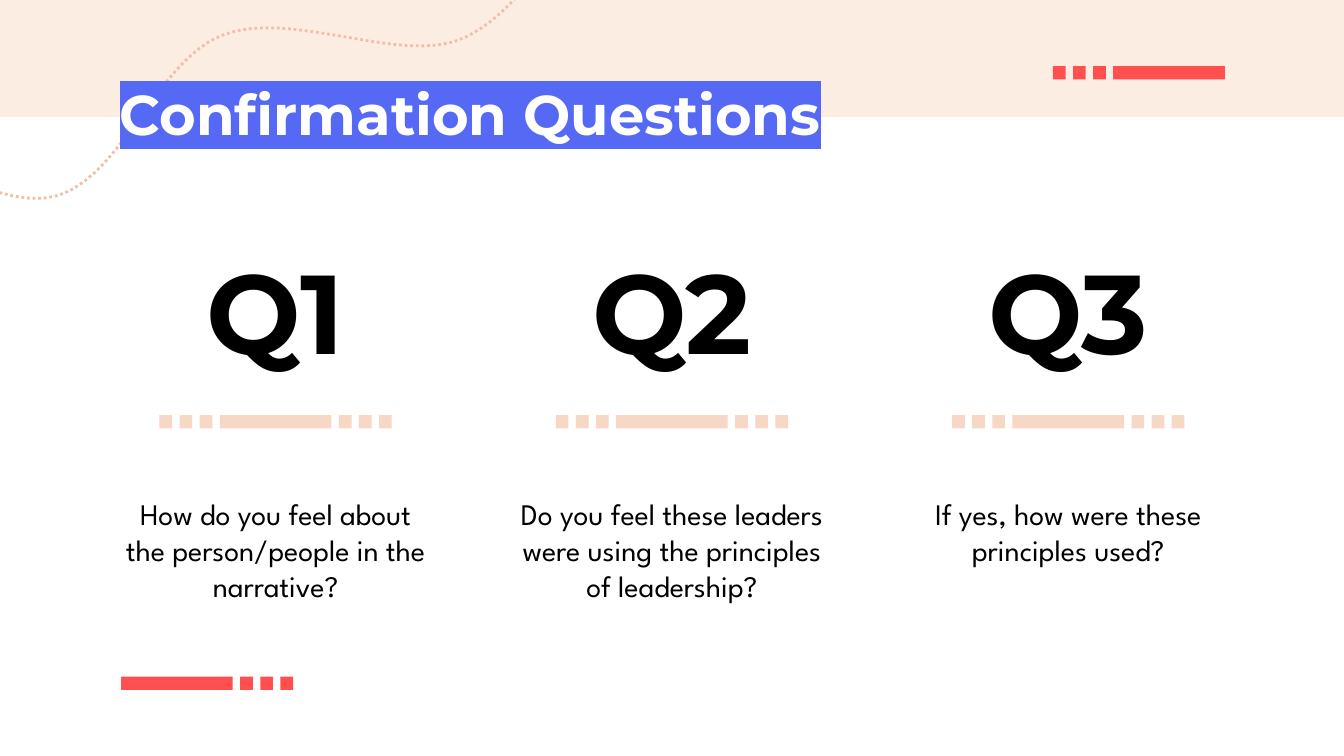
from pptx import Presentation
from pptx.dml.color import RGBColor as RGB
from pptx.enum.dml import MSO_LINE_DASH_STYLE as Dash
from pptx.enum.shapes import MSO_SHAPE as Shape
from pptx.enum.text import MSO_ANCHOR as Anchor, MSO_AUTO_SIZE as AutoSize, PP_ALIGN as Align
from pptx.oxml.ns import qn
from pptx.util import Cm, Pt
from lxml.etree import SubElement

# Content
TITLE = "Confirmation Questions"
QUESTIONS = [
    ("Q1", "How do you feel about the person/people in the narrative?", 2.95),
    ("Q2", "Do you feel these leaders were using the principles of leadership?", 3.43),
    ("Q3", "If yes, how were these principles used?", 1.68),
]  # label, question, height of the question box in cm

THEME = {
    "head_font": "Montserrat", "body_font": "League Spartan",
    "title_size": 30, "label_size": 60, "body_size": 16,
    "band": "FCEDE3", "curve": "EFBFAB", "accent": "FF4F4E", "soft": "F7D7C6",
    "ink": "000000", "title": "FFFFFF", "highlight": "5669F4",
}

# Layout in cm
SLIDE_W, SLIDE_H = 25.4, 14.29
LEFT, COL_W, COL_STEP = 2.01, 6.4, 7.49
LABEL_Y, STRIP_Y, QUESTION_Y = 4.42, 7.85, 9.12
SQUARE, BAR, GAP, STRIP_H = 0.24, 2.11, 0.14, 0.25
INSET = 0.25
CURVE_START = (-7.49, 5.61)
CURVE = [  # two control points and an end point for each Bezier segment
    ((-6.83, 5.11), (-4.9, 2.97), (-3.48, 2.64)),
    ((-2.06, 2.34), (-0.25, 4.04), (1.04, 3.71)),
    ((2.31, 3.38), (2.95, 1.14), (4.22, 0.66)),
    ((5.49, 0.18), (7.49, 1.19), (8.66, 0.76)),
    ((9.83, 0.33), (10.77, -1.5), (11.2, -1.93)),
]
CURVE_STEPS = 24


def bezier(p0, p1, p2, p3, t):
    u = 1 - t
    return tuple(u**3 * a + 3 * u * u * t * b + 3 * u * t * t * c + t**3 * d
                 for a, b, c, d in zip(p0, p1, p2, p3))


def add_rect(shapes, x, y, w, h, color):
    sp = shapes.add_shape(Shape.RECTANGLE, Cm(x), Cm(y), Cm(w), Cm(h))
    sp.shadow.inherit = False
    sp.fill.solid()
    sp.fill.fore_color.rgb = RGB.from_string(THEME[color])
    sp.line.fill.background()


def add_strip(shapes, x, y, pattern, color):
    """Draw a row of squares (s) and bars (b) with equal gaps."""
    group = shapes.add_group_shape()
    for part in pattern:
        w = BAR if part == "b" else SQUARE
        add_rect(group.shapes, x, y, w, STRIP_H, color)
        x += w + GAP


def add_curve(shapes):
    points, start = [], CURVE_START
    for c1, c2, end in CURVE:
        points += [bezier(start, c1, c2, end, i / CURVE_STEPS)
                   for i in range(1, CURVE_STEPS + 1)]
        start = end
    builder = shapes.build_freeform(Cm(CURVE_START[0]), Cm(CURVE_START[1]))
    builder.add_line_segments([(Cm(x), Cm(y)) for x, y in points], close=False)
    sp = builder.convert_to_shape()
    sp.shadow.inherit = False
    sp.fill.background()
    sp.line.color.rgb = RGB.from_string(THEME["curve"])
    sp.line.width = Pt(1.5)
    sp.line.dash_style = Dash.ROUND_DOT


def set_text(sp, box, text, kind, font, color, bold, align, anchor=Anchor.TOP):
    sp.left, sp.top, sp.width, sp.height = (Cm(v) for v in box)
    tf = sp.text_frame
    tf.word_wrap = True
    tf.auto_size = AutoSize.NONE
    tf.vertical_anchor = anchor
    tf.margin_left = tf.margin_right = tf.margin_top = tf.margin_bottom = Cm(INSET)
    p = tf.paragraphs[0]
    p.alignment = align
    p.space_before = Pt(0)
    pPr = p._p.get_or_add_pPr()
    pPr.set("marL", "0")
    pPr.set("indent", "0")
    SubElement(pPr, qn("a:buNone"))
    r = p.add_run()
    r.text = text
    r.font.name = THEME[font]
    r.font.size = Pt(THEME[kind + "_size"])
    r.font.bold = bold
    r.font.color.rgb = RGB.from_string(THEME[color])
    return r


def highlight(r, color):
    rPr = r.font._element
    mark = SubElement(rPr, qn("a:highlight"))
    SubElement(mark, qn("a:srgbClr")).set("val", THEME[color])
    rPr.find(qn("a:solidFill")).addnext(mark)


def main():
    prs = Presentation()
    prs.slide_width, prs.slide_height = Cm(SLIDE_W), Cm(SLIDE_H)
    s = prs.slides.add_slide(prs.slide_layouts[4])
    shapes = s.shapes
    title, *bodies, spare = s.placeholders
    spare._element.getparent().remove(spare._element)

    # Background decoration
    add_rect(shapes, 0, 0, SLIDE_W, 2.21, "band")
    add_curve(shapes)
    add_strip(shapes, 19.9, 1.25, "sssb", "accent")
    add_strip(shapes, 2.29, 12.79, "bsss", "accent")

    # Title, brought in front of the decoration
    shapes._spTree.append(title._element)
    r = set_text(title, (LEFT, 1.25, 21.41, 1.6), TITLE, "title",
                 "head_font", "title", True, Align.LEFT)
    highlight(r, "highlight")

    # Question columns
    strip_w = BAR + 6 * (SQUARE + GAP)
    for i, (body, (label, question, h)) in enumerate(zip(bodies, QUESTIONS)):
        x = LEFT + i * COL_STEP
        box = shapes.add_textbox(0, 0, 0, 0)
        set_text(box, (x, LABEL_Y, COL_W, 2.95), label, "label",
                 "head_font", "ink", True, Align.CENTER, Anchor.BOTTOM)
        add_strip(shapes, x + (COL_W - strip_w) / 2, STRIP_Y, "sssbsss", "soft")
        shapes._spTree.append(body._element)
        set_text(body, (x, QUESTION_Y, COL_W, h), question, "body",
                 "body_font", "ink", False, Align.CENTER)

    prs.save("out.pptx")


if __name__ == "__main__":
    main()
